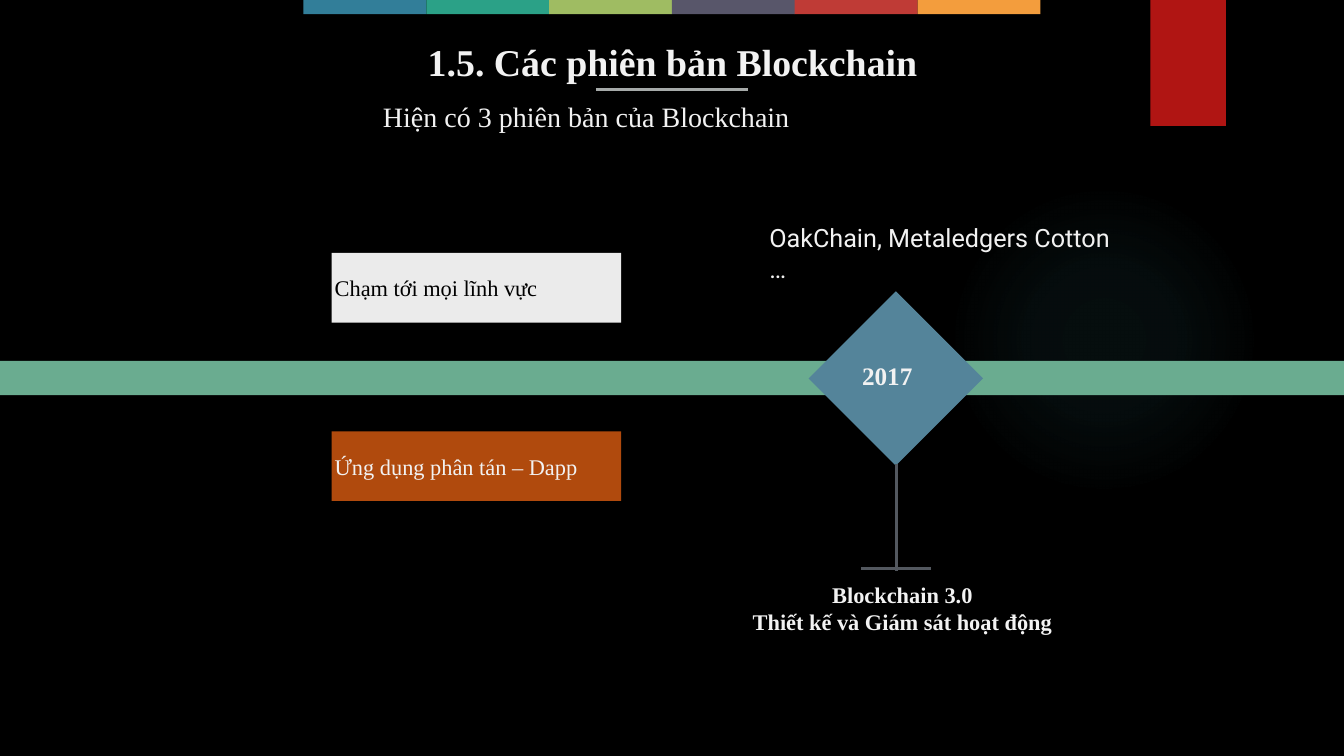
"""Build the slide on the third version of Blockchain."""
from lxml import etree
from pptx import Presentation
from pptx.dml.color import RGBColor
from pptx.enum import shapes, text
from pptx.oxml import parse_xml
from pptx.oxml.ns import qn
from pptx.util import Inches, Pt

SERIF = "Times New Roman"
LIGHT = "F2F2F2"
LEFT, CENTER = text.PP_ALIGN.LEFT, text.PP_ALIGN.CENTER
MIDDLE, TOP = text.MSO_ANCHOR.MIDDLE, text.MSO_ANCHOR.TOP
RECTANGLE = shapes.MSO_SHAPE.RECTANGLE


def paint(shape, color):
    """Give a shape a solid fill without outline or shadow."""
    shape.shadow.inherit = False
    shape.line.fill.background()
    shape.fill.solid()
    shape.fill.fore_color.rgb = RGBColor.from_string(color)


def write(shape, lines, size, color=LIGHT, bold=False, align=LEFT,
          font=SERIF, anchor=MIDDLE, inset=0.03):
    """Write formatted paragraphs into a shape."""
    frame = shape.text_frame
    frame_format = {"word_wrap": True, "vertical_anchor": anchor,
                    "auto_size": text.MSO_AUTO_SIZE.NONE}
    for side in ("left", "top", "right", "bottom"):
        frame_format[f"margin_{side}"] = Inches(inset)
    for name, value in frame_format.items():
        setattr(frame, name, value)
    frame.text = "\n".join(lines)
    for para in frame.paragraphs:
        para.alignment = align
        for span in para.runs:
            for name, value in {"name": font, "size": Pt(size), "bold": bold}.items():
                setattr(span.font, name, value)
            span.font.color.rgb = RGBColor.from_string(color)


deck = Presentation()
deck.slide_width, deck.slide_height = Inches(13.33), Inches(7.5)
page = deck.slides.add_slide(deck.slide_layouts[5])
page.background.fill.solid()
page.background.fill.fore_color.rgb = RGBColor.from_string("000000")

glow = page.shapes.add_shape(shapes.MSO_SHAPE.OVAL, *map(Inches, (9.41, 1.83, 3.08, 3.08)))
paint(glow, "50B9C1")
stops = "".join(
    f'<a:gs pos="{place * 1000}"><a:srgbClr val="50B9C1">'
    f'<a:alpha val="{alpha * 1000}"/></a:srgbClr></a:gs>'
    for place, alpha in ((0, 7), (36, 6), (69, 0), (100, 0)))
gradient = parse_xml(
    '<a:gradFill xmlns:a="http://schemas.openxmlformats.org/drawingml/2006/main">'
    f'<a:gsLst>{stops}</a:gsLst><a:path path="circle">'
    '<a:fillToRect l="50000" t="50000" r="50000" b="50000"/></a:path></a:gradFill>')
properties = glow.element.spPr
properties.replace(properties.find(qn("a:solidFill")), gradient)

strip_colors = ("327E99", "2BA187", "9FBC62", "58566A", "BF3B36", "F39D3D")
bars = [(11.41, 0, 0.75, 1.25, "B01513"), (0, 3.58, 13.33, 0.34, "6AAC90")]
bars += [(3.01 + 1.218 * index, 0, 1.22, 0.14, color)
         for index, color in enumerate(strip_colors)]
for *place, color in bars:
    paint(page.shapes.add_shape(RECTANGLE, *map(Inches, place)), color)

diamond = page.shapes.add_shape(shapes.MSO_SHAPE.DIAMOND, *map(Inches, (8.02, 2.89, 1.73, 1.73)))
paint(diamond, "54849A")

for start_x, start_y, end_x, end_y, color, width in (
        (5.91, 0.89, 7.42, 0.89, "A6AAA9", 2),
        (8.89, 4.6, 8.89, 5.66, "53585F", 2.5),
        (8.54, 5.64, 9.23, 5.64, "53585F", 2.5)):
    line = page.shapes.add_connector(
        shapes.MSO_CONNECTOR.STRAIGHT, *map(Inches, (start_x, start_y, end_x, end_y)))
    line.line.color.rgb = RGBColor.from_string(color)
    line.line.width = Pt(width)
    etree.SubElement(line.element.spPr, qn("a:effectLst"))

title = page.shapes.title
for name, value in {"left": 3.03, "top": 0.33, "width": 7.28, "height": 0.46}.items():
    setattr(title, name, Inches(value))
write(title, ["1.5. Các phiên bản Blockchain"], 27, bold=True, align=CENTER,
      anchor=TOP, inset=0.05)

for place, lines, size, style in (
        ((3.7, 0.94, 5.94, 0.43), ["Hiện có 3 phiên bản của Blockchain"], 20, {"inset": 0.1}),
        ((7.42, 5.74, 3.06, 0.59), ["Blockchain 3.0", "Thiết kế và Giám sát hoạt động"], 16,
         {"bold": True, "align": CENTER}),
        ((8.52, 3.54, 0.7, 0.36), ["2017"], 18, {"bold": True}),
        ((7.6, 2.33, 3.66, 0.36), ["OakChain, Metaledgers Cotton …"], 18, {"font": "Roboto"})):
    write(page.shapes.add_textbox(*map(Inches, place)), lines, size, **style)

for top, label, fill, color in (
        (2.51, "Chạm tới mọi lĩnh vực", "EBEBEB", "000000"),
        (4.28, "Ứng dụng phân tán – Dapp", "B04A0D", LIGHT)):
    box = page.shapes.add_shape(RECTANGLE, *map(Inches, (3.29, top, 2.87, 0.69)))
    paint(box, fill)
    write(box, [label], 16, color)

deck.save("out.pptx")
